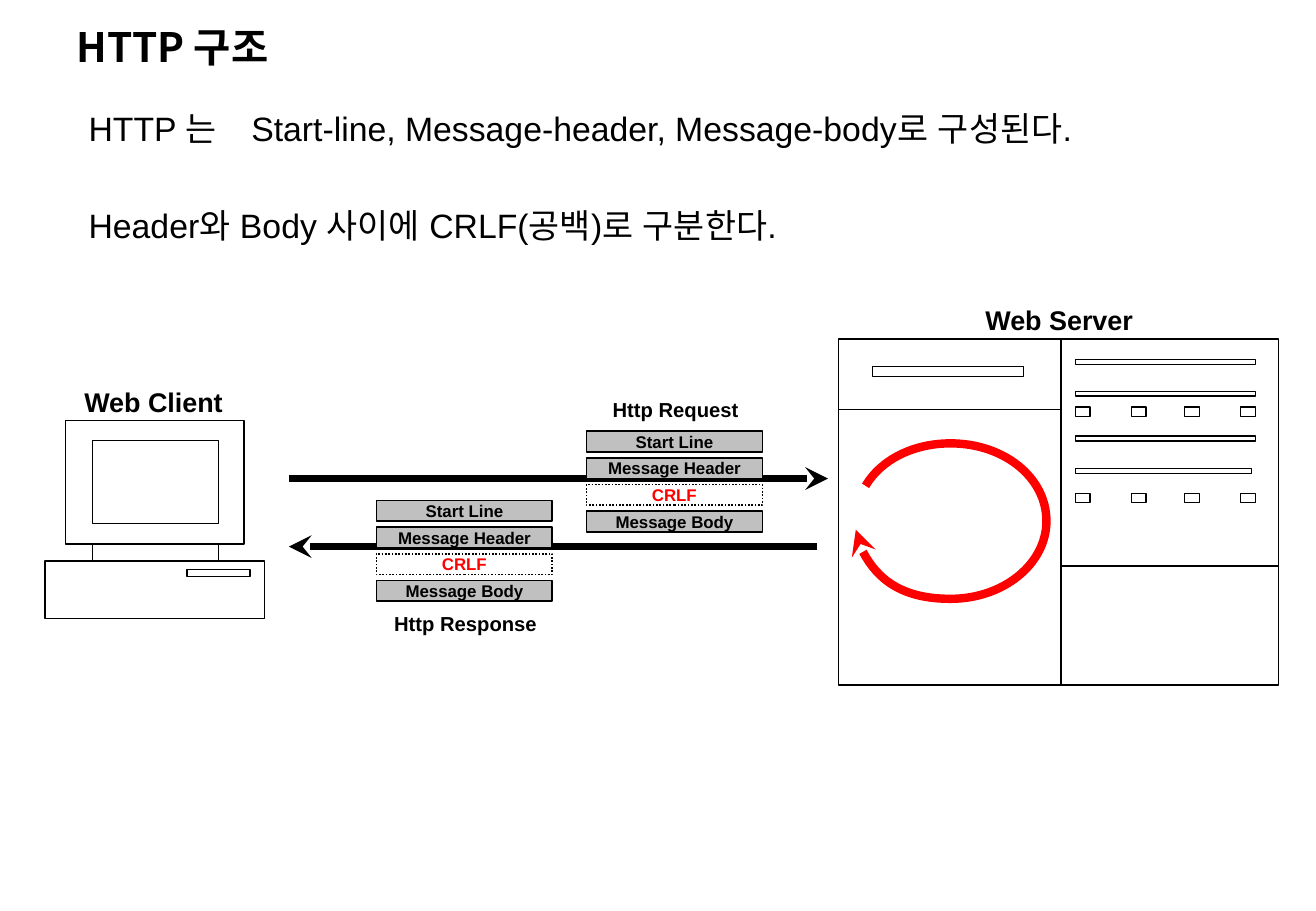
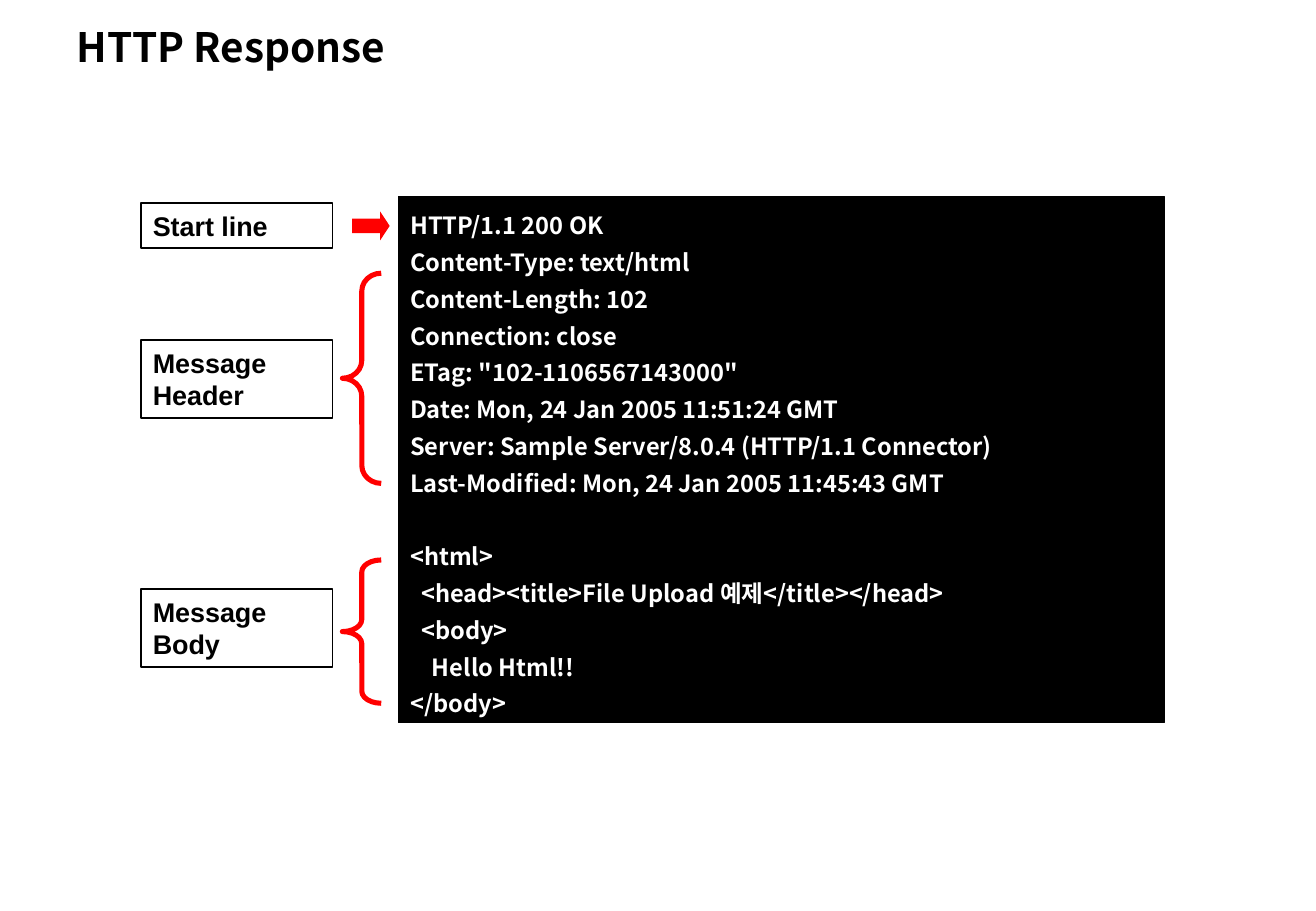
import math
from lxml import etree
from pptx import Presentation
from pptx.dml.color import RGBColor
from pptx.enum.dml import MSO_LINE
from pptx.enum.shapes import MSO_CONNECTOR, MSO_SHAPE
from pptx.enum.text import MSO_ANCHOR, MSO_AUTO_SIZE, PP_ALIGN
from pptx.oxml.ns import qn
from pptx.util import Inches, Pt

RECT, BRACE, ARROW = MSO_SHAPE.RECTANGLE, MSO_SHAPE.LEFT_BRACE, MSO_SHAPE.RIGHT_ARROW
STRAIGHT, DOTTED = MSO_CONNECTOR.STRAIGHT, MSO_LINE.ROUND_DOT
LEFT, CENTER = PP_ALIGN.LEFT, PP_ALIGN.CENTER
TOP, MIDDLE = MSO_ANCHOR.TOP, MSO_ANCHOR.MIDDLE
BLACK, WHITE, GREY, RED = "000000", "FFFFFF", "C0C0C0", "FF0000"
SANS, KOREAN = "Arial", "Noto Sans CJK KR"
rgb = RGBColor.from_string


def write(sp, lines, font, color=BLACK, align=LEFT, anchor=TOP, wrap=True,
          insets=(0.1, 0.05, 0.1, 0.05), spacing=None):
    tf = sp.text_frame
    frame = {"auto_size": MSO_AUTO_SIZE.NONE, "word_wrap": wrap, "vertical_anchor": anchor}
    sides = ("margin_left", "margin_top", "margin_right", "margin_bottom")
    frame.update(zip(sides, map(Inches, insets)))
    for name, value in frame.items():
        setattr(tf, name, value)
    for i, line in enumerate(lines):
        p = tf.paragraphs[0] if i == 0 else tf.add_paragraph()
        p.alignment = align
        if spacing:
            p.line_spacing = spacing
        r = p.add_run()
        r.text = line
        for name, value in font.items():
            setattr(r.font, name, value)
        r.font.color.rgb = rgb(color)
        etree.SubElement(r._r.get_or_add_rPr(), qn("a:ea"), typeface=font["name"])
    return tf


def style(sp, fill=None, line=BLACK, width=0.75):
    sp.shadow.inherit = False
    if fill:
        sp.fill.solid()
        sp.fill.fore_color.rgb = rgb(fill)
    else:
        sp.fill.background()
    if line:
        sp.line.color.rgb = rgb(line)
        sp.line.width = Pt(width)
    else:
        sp.line.fill.background()
    return sp


TITLE_FONT = {"name": KOREAN, "size": Pt(24), "bold": True}
BODY_FONT = {"name": SANS, "size": Pt(20), "bold": False}
LABEL_FONT = {"name": SANS, "size": Pt(16), "bold": True}
CAPTION_FONT = {"name": SANS, "size": Pt(12), "bold": True}
PACKET_FONT = {"name": SANS, "size": Pt(10), "bold": True}
CODE_FONT = {"name": KOREAN, "size": Pt(14), "bold": True}

prs = Presentation()
prs.slide_width, prs.slide_height = Inches(10.84), Inches(7.5)
slides = []
for title in ("HTTP 구조", "HTTP Response"):
    s = prs.slides.add_slide(prs.slide_layouts[5])
    sp = s.shapes.title
    sp.left, sp.top, sp.width, sp.height = map(Inches, (0.63, 0.16, 5.53, 0.45))
    write(sp, [title], TITLE_FONT, anchor=MIDDLE, insets=(0, 0.05, 0, 0.05))
    slides.append(s)

s = slides[0]
sp = style(s.shapes.add_shape(RECT, *map(Inches, (0.65, 0.82, 9.88, 2.02))), line=WHITE)
tf = write(sp, ["HTTP 는\tStart-line, Message-header, Message-body로 구성된다.",
                "Header와 Body 사이에 CRLF(공백)로 구분한다."],
           BODY_FONT, insets=(0.08, 0, 0, 0.05), spacing=Pt(28.8))
tf.paragraphs[1].space_before = Pt(28.8)
tabs = etree.SubElement(tf.paragraphs[0]._p.get_or_add_pPr(), qn("a:tabLst"))
etree.SubElement(tabs, qn("a:tab"), pos=str(Inches(1.34)), algn="l")

labels = [
    ("Web Client", (0.19, 3.12, 2.15, 0.37), LABEL_FONT),
    ("Web Server", (7.64, 2.45, 2.17, 0.37), LABEL_FONT),
    ("Http Request", (4.57, 3.22, 1.99, 0.3), CAPTION_FONT),
    ("Http Response", (2.93, 4.98, 1.81, 0.3), CAPTION_FONT),
]
for text, at, font in labels:
    sp = s.shapes.add_textbox(*map(Inches, at))
    write(sp, [text], font, align=CENTER, anchor=MIDDLE)

client = [(0.54, 3.46, 1.47, 1.02), (0.76, 3.63, 1.04, 0.68), (0.76, 4.48, 1.04, 0.14),
          (0.37, 4.62, 1.81, 0.47), (1.54, 4.69, 0.52, 0.06)]
server = [(6.91, 2.79, 1.83, 0.58), (6.91, 3.37, 1.83, 2.27), (8.74, 2.79, 1.79, 1.87),
          (8.74, 4.66, 1.79, 0.98), (7.19, 3.02, 1.24, 0.08)]
server += [(8.86, y, w, 0.04) for y, w in ((2.96, 1.48), (3.22, 1.48), (3.59, 1.48), (3.86, 1.45))]
server += [(x, y, 0.12, 0.08) for y in (3.35, 4.06) for x in (8.86, 9.32, 9.76, 10.22)]
for outlines in (client, server):
    builder = s.shapes.build_freeform(*map(Inches, outlines[0][:2]))
    for i, (x, y, w, h) in enumerate(outlines):
        if i:
            builder.move_to(Inches(x), Inches(y))
        corners = [(x + w, y), (x + w, y + h), (x, y + h)]
        builder.add_line_segments([(Inches(a), Inches(b)) for a, b in corners], close=True)
    style(builder.convert_to_shape())

curve = [(7.13, 4), (7.26, 3.78), (7.53, 3.65), (7.83, 3.65), (8.27, 3.65), (8.62, 3.93),
         (8.62, 4.29), (8.62, 4.64), (8.27, 4.93), (7.83, 4.93), (7.43, 4.93), (7.09, 4.68),
         (7.05, 4.36)]
points = [(Inches(x), Inches(y)) for x, y in curve]
builder = s.shapes.build_freeform(*points[0])
builder.add_line_segments(points[1:], close=False)
loop = style(builder.convert_to_shape(), line=RED, width=5)
segments = list(loop._element.iter(qn("a:lnTo")))
outline = segments[0].getparent()
for i in range(0, len(segments), 3):
    bezier = etree.SubElement(outline, qn("a:cubicBezTo"))
    for segment in segments[i:i + 3]:
        bezier.append(segment[0])
        outline.remove(segment)
etree.SubElement(loop.line._get_or_add_ln(), qn("a:tailEnd"), type="stealth")

parts = ["Start Line", "Message Header", "CRLF", "Message Body"]
messages = [(2.38, 6.82, 3.94, 4.83, 3.55), (6.73, 2.38, 4.5, 3.1, 4.12)]
for x1, x2, y, left, top in messages:
    c = s.shapes.add_connector(STRAIGHT, *map(Inches, (x1, y, x2, y)))
    c.line.color.rgb = rgb(BLACK)
    c.line.width = Pt(4.5)
    etree.SubElement(c.line._get_or_add_ln(), qn("a:tailEnd"), type="stealth")
    etree.SubElement(c._element.spPr, qn("a:effectLst"))
    for i, part in enumerate(parts):
        blank = part == "CRLF"
        sp = s.shapes.add_shape(RECT, *map(Inches, (left, top + 0.22 * i, 1.45, 0.17)))
        style(sp, WHITE if blank else GREY, width=1)
        if blank:
            sp.line.dash_style = DOTTED
        write(sp, [part], PACKET_FONT, RED if blank else BLACK, CENTER, MIDDLE,
              insets=(0.04, 0, 0.04, 0))

s = slides[1]
code = [
    "HTTP/1.1 200 OK",
    "Content-Type: text/html",
    "Content-Length: 102",
    "Connection: close",
    'ETag: "102-1106567143000"',
    "Date: Mon, 24 Jan 2005 11:51:24 GMT",
    "Server: Sample Server/8.0.4 (HTTP/1.1 Connector)",
    "Last-Modified: Mon, 24 Jan 2005 11:45:43 GMT",
    "<html>",
    "<head><title>File Upload 예제</title></head>",
    "<body>",
    "Hello Html!!",
    "</body>",
]
sp = style(s.shapes.add_shape(RECT, *map(Inches, (3.28, 1.62, 6.31, 4.33))), BLACK)
tf = write(sp, code, CODE_FONT, WHITE, spacing=Pt(21.8))
tf.paragraphs[code.index("<html>")].space_before = Pt(21.8)
for line, indent in ((9, 0.09), (10, 0.09), (11, 0.18)):
    tf.paragraphs[line]._p.get_or_add_pPr().set("marL", str(Inches(indent)))

sections = [(["Start line"], 1.67, 0.37), (["Message", "Header"], 2.8, 0.64),
            (["Message", "Body"], 4.85, 0.64)]
for lines, top, height in sections:
    sp = style(s.shapes.add_shape(RECT, *map(Inches, (1.16, top, 1.58, height))), width=1)
    write(sp, lines, LABEL_FONT, spacing=1.01)

for top, height, bend in ((2.25, 1.73, 0.46), (4.61, 1.18, 0.31)):
    sp = s.shapes.add_shape(BRACE, *map(Inches, (2.82, top, 0.32, height)))
    style(sp, line=RED, width=3).adjustments[0] = bend

sp = s.shapes.add_shape(ARROW, *map(Inches, (2.9, 1.74, 0.31, 0.24)))
style(sp, RED, None).adjustments[1] = 0.33

prs.save("out.pptx")
